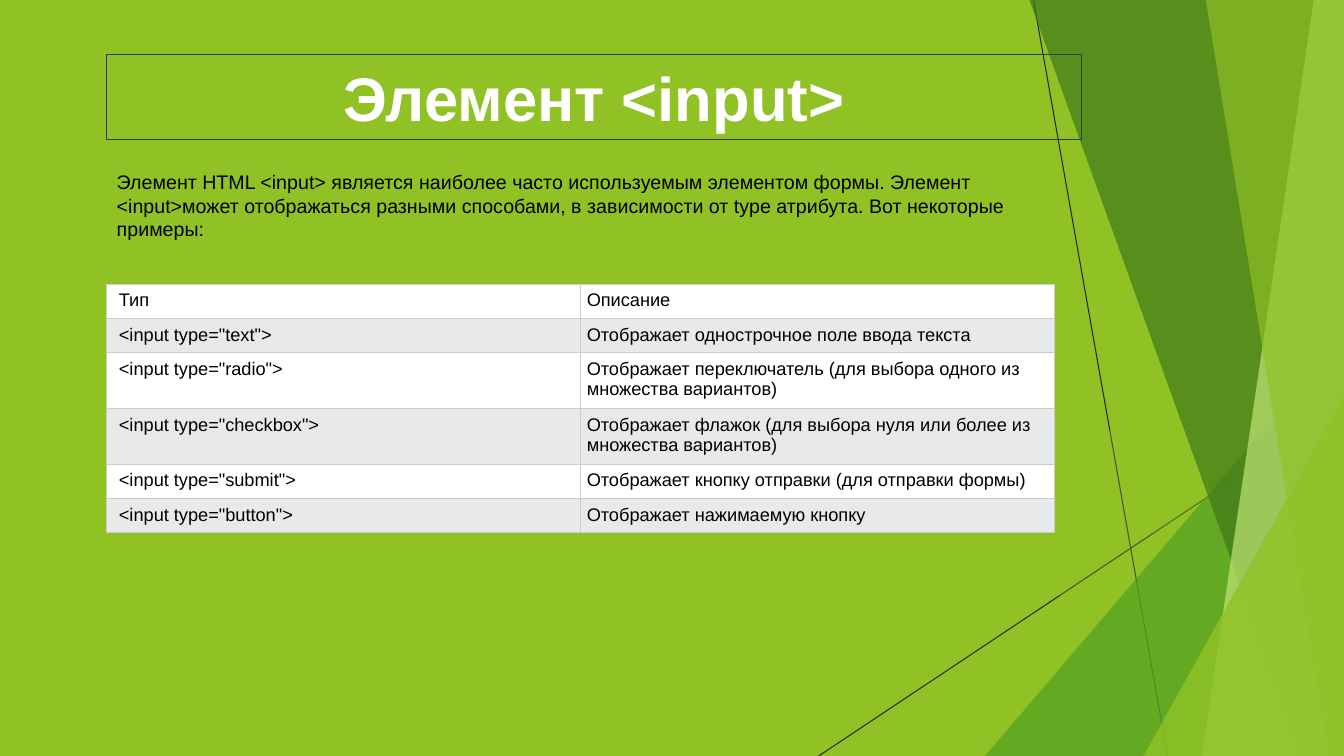
from lxml.etree import SubElement
from pptx import Presentation
from pptx.dml.color import RGBColor
from pptx.enum.shapes import MSO_CONNECTOR, MSO_SHAPE
from pptx.enum.text import MSO_ANCHOR, PP_ALIGN
from pptx.oxml.ns import qn
from pptx.util import Inches, Pt

# Content
TITLE = "Элемент <input>"
INTRO = ("Элемент HTML <input> является наиболее часто используемым элементом формы. "
         "Элемент <input>может отображаться разными способами, в зависимости от type "
         "атрибута. Вот некоторые примеры:")
ROWS = [
    ("Тип", "Описание"),
    ('<input type="text">', "Отображает однострочное поле ввода текста"),
    ('<input type="radio">', "Отображает переключатель (для выбора одного из множества вариантов)"),
    ('<input type="checkbox">', "Отображает флажок (для выбора нуля или более из множества вариантов)"),
    ('<input type="submit">', "Отображает кнопку отправки (для отправки формы)"),
    ('<input type="button">', "Отображает нажимаемую кнопку"),
]
ROW_HEIGHTS = [0.34, 0.34, 0.55, 0.55, 0.34, 0.34]
ROW_FILLS = ["FFFFFF", "E7E9EB"]

# Layout and decoration
WIDTH, HEIGHT = 13.33, 7.5
LEFT, BOX_WIDTH, COLUMN_WIDTH = 1.06, 9.67, 4.7
GREEN = "90C226"
RAYS = [((10.25, 0), (11.58, HEIGHT)), ((WIDTH, 4.03), (8.12, HEIGHT))]
# Bands: (x at top, x at bottom); triangles: (left, top); then colour, opacity in percent
DECORATION = [
    ("band", 12.28, 10.04, GREEN, 30),
    ("band", 10.5, 11.83, GREEN, 20),
    ("triangle", 9.77, 3.33, "54A021", 72),
    ("band", 10.21, 12.91, "3F7819", 70),
    ("band", 13.03, 11.92, "C0E474", 70),
    ("band", 11.96, 13.18, GREEN, 65),
    ("triangle", 11.34, 3.93, GREEN, 80),
]


def color(value):
    return RGBColor.from_string(value)


def paint(fill, value, opacity=100):
    fill.solid()
    fill.fore_color.rgb = color(value)
    if opacity < 100:
        tint = fill._xPr.find(".//" + qn("a:srgbClr"))
        SubElement(tint, qn("a:alpha"), val=str(opacity * 1000))


def write(frame, text, size, value="000000", bold=False, align=PP_ALIGN.LEFT):
    para = frame.paragraphs[0]
    para.alignment = align
    span = para.add_run()
    span.text = text
    for name, setting in {"name": "Arial", "size": Pt(size), "bold": bold}.items():
        setattr(span.font, name, setting)
    span.font.color.rgb = color(value)


def add_band(top_x, bottom_x):
    points = [(WIDTH, 0), (WIDTH, HEIGHT), (bottom_x, HEIGHT)]
    builder = page.shapes.build_freeform(Inches(top_x), 0)
    builder.add_line_segments([(Inches(x), Inches(y)) for x, y in points])
    return builder.convert_to_shape()


def add_triangle(left, top):
    triangle = page.shapes.add_shape(
        MSO_SHAPE.ISOSCELES_TRIANGLE, Inches(left), Inches(top),
        Inches(WIDTH - left), Inches(HEIGHT - top))
    triangle.adjustments[0] = 1
    return triangle


def add_borders(cell, value):
    properties = cell._tc.get_or_add_tcPr()
    for index, side in enumerate(("lnL", "lnR", "lnT", "lnB")):
        edge = properties.makeelement(qn("a:" + side), {"w": str(Pt(0.75))})
        ink = SubElement(edge, qn("a:solidFill"))
        SubElement(ink, qn("a:srgbClr"), val=value)
        properties.insert(index, edge)


deck = Presentation()
deck.slide_width, deck.slide_height = Inches(WIDTH), Inches(HEIGHT)
page = deck.slides.add_slide(deck.slide_layouts[6])
paint(page.background.fill, GREEN)

# Thin rays behind the translucent facets
for start, end in RAYS:
    ray = page.shapes.add_connector(
        MSO_CONNECTOR.STRAIGHT, *[Inches(length) for length in start + end])
    ray.line.color.rgb = color("262626")
    ray.line.width = Pt(0.75)
    SubElement(ray._element.spPr, qn("a:effectLst"))

# Facets
makers = {"band": add_band, "triangle": add_triangle}
for kind, first, second, value, opacity in DECORATION:
    facet = makers[kind](first, second)
    facet.shadow.inherit = False
    facet.line.fill.background()
    paint(facet.fill, value, opacity)

# Framed title
title = page.shapes.add_shape(
    MSO_SHAPE.RECTANGLE, Inches(LEFT), Inches(0.54), Inches(BOX_WIDTH), Inches(0.84))
title.shadow.inherit = False
title.fill.background()
title.line.color.rgb = color("2C3C43")
title.line.width = Pt(0.75)
title.text_frame.word_wrap = True
title.text_frame.vertical_anchor = MSO_ANCHOR.MIDDLE
write(title.text_frame, TITLE, 44, "FFFFFF", True, PP_ALIGN.CENTER)

# Introduction
intro = page.shapes.add_textbox(Inches(LEFT), Inches(1.64), Inches(BOX_WIDTH), Inches(0.81))
intro.text_frame.word_wrap = True
write(intro.text_frame, INTRO, 14)

# Table of input types
table = page.shapes.add_table(
    len(ROWS), 2, Inches(LEFT), Inches(2.82),
    Inches(2 * COLUMN_WIDTH), Inches(sum(ROW_HEIGHTS))).table
for column in table.columns:
    column.width = Inches(COLUMN_WIDTH)
for row_index, (texts, height) in enumerate(zip(ROWS, ROW_HEIGHTS)):
    table.rows[row_index].height = Inches(height)
    for column_index, text in enumerate(texts):
        cell = table.cell(row_index, column_index)
        for side in ("left", "right", "top", "bottom"):
            setattr(cell, "margin_" + side, Inches(0.06))
        if column_index == 0:
            cell.margin_left = Inches(0.12)
        paint(cell.fill, ROW_FILLS[row_index % 2])
        add_borders(cell, "CCCCCC")
        write(cell.text_frame, text, 13)

deck.save("out.pptx")
